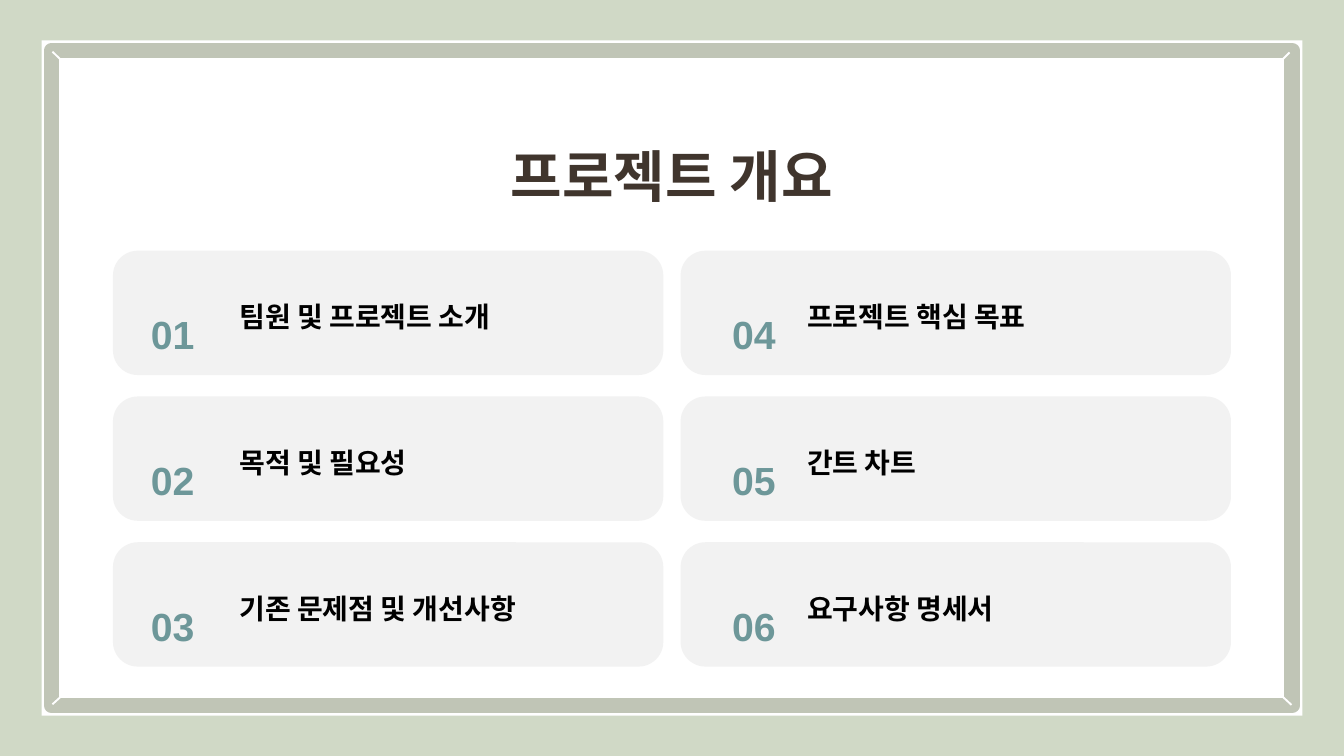
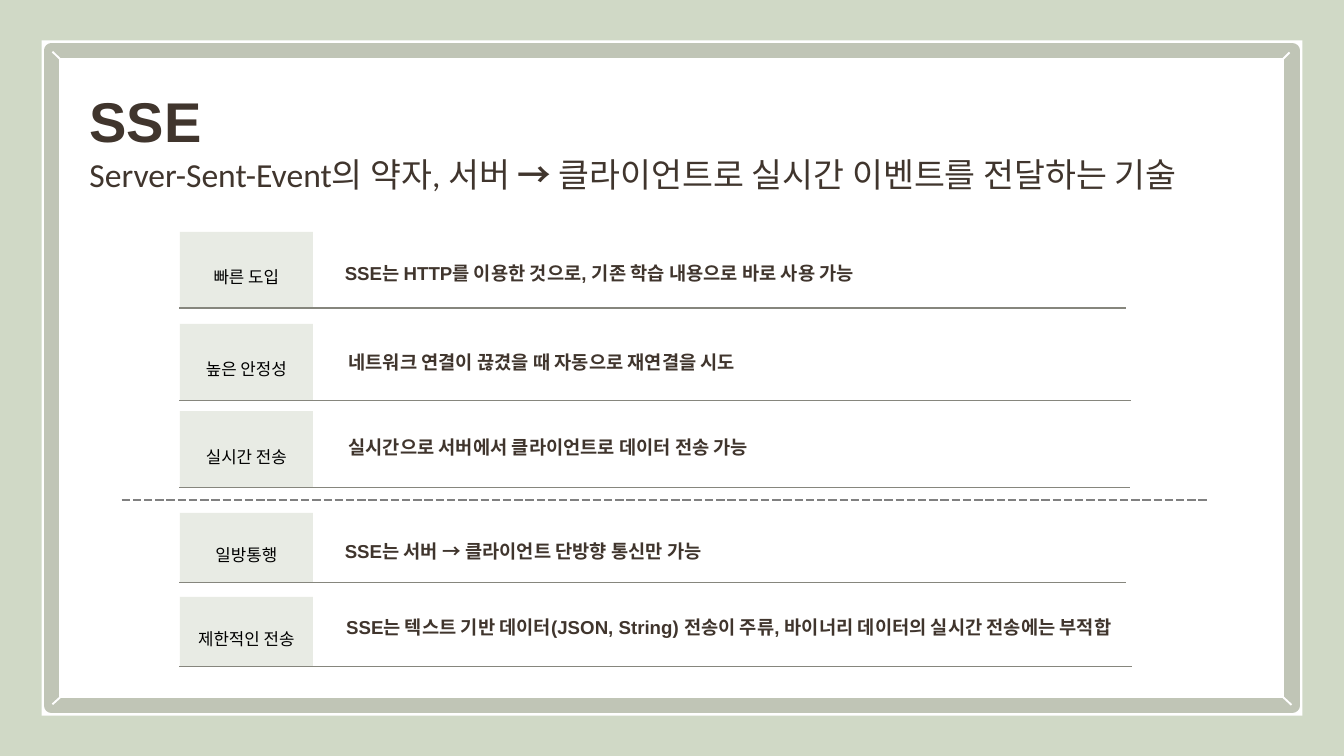
from lxml import etree
from pptx import Presentation
from pptx.dml.color import RGBColor
from pptx.enum.dml import MSO_LINE_DASH_STYLE as Dash
from pptx.enum.shapes import MSO_CONNECTOR as Connector, MSO_SHAPE as Preset
from pptx.enum.text import MSO_ANCHOR as Anchor, MSO_AUTO_SIZE as AutoSize, PP_ALIGN as Align
from pptx.oxml.ns import qn
from pptx.util import Pt

WHITE, SAGE, FRAME = "FFFFFF", "D0D9C6", "C0C5B6"
CARD, LABEL = "F2F2F2", "E8EBE4"
BROWN, TEAL, BLACK = "40352D", "6D9799", "000000"
RULE, DIVIDER = "86867D", "808080"
color = RGBColor.from_string


def add_block(slide, preset, left, top, width, height, fill):
    """Add a filled shape with neither outline nor shadow."""
    block = slide.shapes.add_shape(preset, Pt(left), Pt(top), Pt(width), Pt(height))
    block.shadow.inherit = False
    block.fill.solid()
    block.fill.fore_color.rgb = color(fill)
    block.line.fill.background()
    return block


def write_text(shape, text, size, text_color, bold=True, font="Arial", align=Align.LEFT, spacing=1.0):
    """Fill a shape with one paragraph, without insets and anchored at the top."""
    frame = shape.text_frame
    frame.word_wrap = True
    frame.auto_size = AutoSize.NONE
    frame.vertical_anchor = Anchor.TOP
    frame.margin_left = frame.margin_right = frame.margin_top = frame.margin_bottom = 0
    frame.text = text
    paragraph = frame.paragraphs[0]
    paragraph.alignment = align
    paragraph.line_spacing = spacing
    run_font = paragraph.runs[0].font
    run_font.name, run_font.size, run_font.bold = font, Pt(size), bold
    run_font.color.rgb = color(text_color)


presentation = Presentation()
presentation.slide_width = Pt(1440)
presentation.slide_height = Pt(810)
background = presentation.slide_master.background.fill
background.solid()
background.fore_color.rgb = color(SAGE)
title_only = presentation.slide_layouts[5]

# Shared frame and title; lines are collected here and drawn at the end
lines = []
titles = [
    ("프로젝트 개요", Align.CENTER, (416.9, 123.1, 605.5, 72.7)),
    ("SSE", Align.LEFT, (95.8, 64.1, 1260, 145.4)),
]
corners = [
    (56.2, 55.4, 72, 70.6),
    (1366.6, 739.4, 1383.8, 755.3),
    (56.2, 754.6, 71.3, 740.9),
    (1367.3, 70.6, 1381.7, 56.2),
]
for text, align, box in titles:
    slide = presentation.slides.add_slide(title_only)
    add_block(slide, Preset.RECTANGLE, 44.6, 43.2, 1351, 723.6, WHITE)
    inner = add_block(slide, Preset.RECTANGLE, 55.4, 54, 1329, 702, WHITE)
    inner.line.color.rgb = color(FRAME)
    inner.line.width = Pt(16.5)
    lines += [(slide, corner, WHITE, 2, None) for corner in corners]
    title = slide.shapes.title
    title.left, title.top, title.width, title.height = map(Pt, box)
    write_text(title, text, 60, BROWN, align=align, spacing=1.4)
    # Bring the title in front of the frame
    slide.shapes.element.append(title.element)

overview, sse = presentation.slides

# Slide 1: two columns of numbered cards
topics = [
    "팀원 및 프로젝트 소개", "목적 및 필요성", "기존 문제점 및 개선사항",
    "프로젝트 핵심 목표", "간트 차트", "요구사항 명세서",
]
columns = [(121, 143.3, 256.5), (729.2, 766.1, 864.7)]
for index, topic in enumerate(topics):
    column, row = divmod(index, 3)
    card_left, number_left, topic_left = columns[column]
    top = 268.6 + 156.2 * row
    card = add_block(overview, Preset.ROUNDED_RECTANGLE, card_left, top, 589.7, 133.2, CARD)
    card.adjustments[0] = 0.2
    number = overview.shapes.add_textbox(Pt(number_left), Pt(top + 44), Pt(83.5), Pt(51))
    write_text(number, f"{index + 1:02}", 42, TEAL, align=Align.CENTER, spacing=1.4)
    name = overview.shapes.add_textbox(Pt(topic_left), Pt(top + 54.7), Pt(384.5), Pt(34.6))
    write_text(name, topic, 30, BLACK, spacing=0.96)

# Slide 2: second title line, then labelled rows
subtitle = sse.shapes.title.text_frame.add_paragraph()
subtitle.alignment = Align.LEFT
for text, font, bold in [
    ("Server-Sent-Event의 약자, 서버", "Calibri", False),
    (" → ", "Arial", True),
    ("클라이언트로 실시간 이벤트를 전달하는 기술", "Calibri", False),
]:
    run = subtitle.add_run()
    run.text = text
    run.font.name, run.font.size, run.font.bold = font, Pt(36), bold
    run.font.color.rgb = color(BROWN)

# label, description, label top and height, description left, top and spacing, rule end
features = [
    ("빠른 도입", "SSE는 HTTP를 이용한 것으로, 기존 학습 내용으로 바로 사용 가능",
     248.4, 81.8, 369.4, 271.4, 1.4, 1206),
    ("높은 안정성", "네트워크 연결이 끊겼을 때 자동으로 재연결을 시도",
     347, 81.8, 373.4, 375.8, 1, 1212),
    ("실시간 전송", "실시간으로 서버에서 클라이언트로 데이터 전송 가능",
     440.6, 81.8, 373.4, 467.3, 1, 1211),
    ("일방통행", "SSE는 서버 → 클라이언트 단방향 통신만 가능",
     549.4, 74.9, 369.4, 568.8, 1.4, 1206),
    ("제한적인 전송",
     "SSE는 텍스트 기반 데이터(JSON, String) 전송이 주류, 바이너리 데이터의 실시간 전송에는 부적합",
     639.4, 74.9, 370.8, 660.2, 1, 1212.5),
]
for label, description, top, height, text_left, text_top, spacing, rule_end in features:
    tag = add_block(sse, Preset.RECTANGLE, 192.6, top, 142.6, height, LABEL)
    write_text(tag, label, 18, BLACK, False, "Calibri", Align.CENTER, 1.94)
    tag.text_frame.vertical_anchor = Anchor.MIDDLE
    tag.text_frame.margin_bottom = Pt(5.4)
    detail = sse.shapes.add_textbox(Pt(text_left), Pt(text_top), Pt(890), Pt(24.5))
    write_text(detail, description, 20, BROWN, spacing=spacing)
    bottom = top + height
    lines.append((sse, (192.2, bottom, rule_end, bottom), RULE, 1.5, None))
lines.append((sse, (130.3, 535.7, 1293, 535.7), DIVIDER, 3, Dash.SQUARE_DOT))

for slide, ends, line_color, width, dash in lines:
    connector = slide.shapes.add_connector(Connector.STRAIGHT, *map(Pt, ends))
    connector.line.color.rgb = color(line_color)
    connector.line.width = Pt(width)
    connector.line.dash_style = dash
    etree.SubElement(connector.element.spPr, qn("a:effectLst"))

presentation.save("out.pptx")
